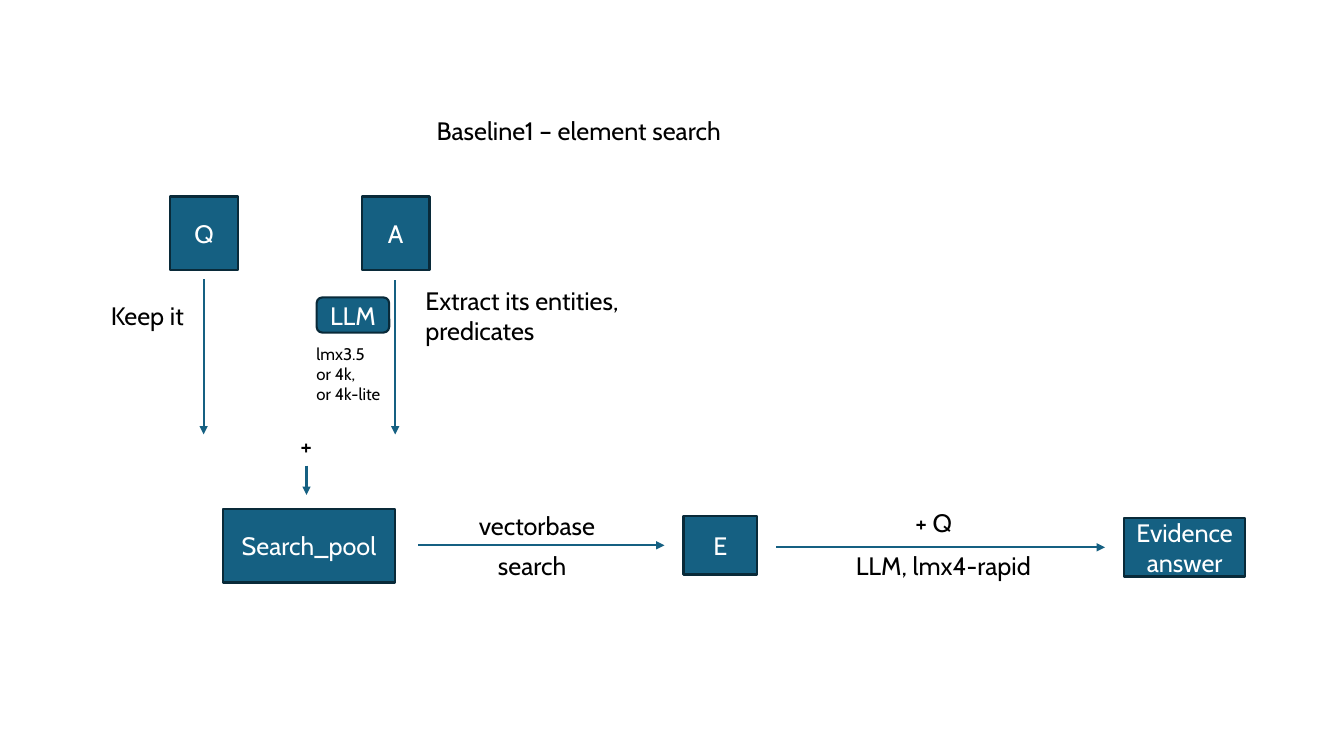
"""Build the Baseline1 element search flow slide."""
import pptx
import pptx.util
import pptx.dml.color
import pptx.enum.shapes
import pptx.enum.text
import pptx.oxml
import pptx.oxml.ns

WHITE = pptx.dml.color.RGBColor(0xFF, 0xFF, 0xFF)
BLACK = pptx.dml.color.RGBColor(0, 0, 0)
TEAL = pptx.dml.color.RGBColor(0x15, 0x60, 0x82)
NAVY = pptx.dml.color.RGBColor(0x09, 0x2A, 0x39)
KIND = pptx.enum.shapes.MSO_SHAPE
ALIGN = pptx.enum.text.PP_ALIGN
ANCHOR = pptx.enum.text.MSO_ANCHOR
FIT = pptx.enum.text.MSO_AUTO_SIZE
NS = pptx.oxml.ns.nsdecls("a")
COLS, ROWS = 133.3, 75

deck = pptx.Presentation()
deck.slide_width = pptx.util.Inches(13.33)
deck.slide_height = pptx.util.Inches(7.5)
slide = deck.slides.add_slide(deck.slide_layouts[5])


def grid(*cells):
    """Turn alternating columns and rows into slide lengths."""
    units = (deck.slide_width / COLS, deck.slide_height / ROWS)
    return [round(cell * units[i % 2]) for i, cell in enumerate(cells)]


def write(shape, text, size=18, color=BLACK, align=ALIGN.LEFT,
          anchor=ANCHOR.TOP, fit=FIT.NONE):
    """Fill a shape with formatted text."""
    frame = shape.text_frame
    frame.text = text
    frame.word_wrap = True
    frame.auto_size = fit
    frame.vertical_anchor = anchor
    for para in frame.paragraphs:
        para.alignment = align
        para.font.size = pptx.util.Pt(size)
        para.font.name = "Cabin"
        para.font.color.rgb = color


title = slide.shapes.title
title.left, title.top, title.width, title.height = grid(42.3, 10.9, 34.4, 4)
write(title, "Baseline1 – element search")

boxes = [
    ("Q", KIND.RECTANGLE, 16.9, 19.5, 6.7, 7.3),
    ("A", KIND.RECTANGLE, 35.9, 19.5, 6.7, 7.3),
    ("LLM", KIND.ROUNDED_RECTANGLE, 31.4, 29.5, 7.2, 3.5),
    ("Search_pool", KIND.RECTANGLE, 22.1, 50.5, 17.1, 7.3),
    ("E", KIND.RECTANGLE, 67.8, 51.2, 7.3, 5.8),
    ("Evidence\vanswer", KIND.RECTANGLE, 111.5, 51.4, 12, 5.8),
]
for text, kind, *cells in boxes:
    box = slide.shapes.add_shape(kind, *grid(*cells))
    box.shadow.inherit = False
    box.fill.solid()
    box.fill.fore_color.rgb = TEAL
    box.line.color.rgb = NAVY
    box.line.width = pptx.util.Pt(1.5)
    write(box, text, color=WHITE, align=ALIGN.CENTER, anchor=ANCHOR.MIDDLE)

arrows = [
    (20.2, 27.7, 20.2, 43.1),
    (39.2, 27.8, 39.2, 43.1),
    (30.4, 46.2, 30.4, 49.1),
    (41.5, 54.1, 65.9, 54.1),
    (77, 54.3, 109.6, 54.3),
]
for ends in arrows:
    arrow = slide.shapes.add_connector(
        pptx.enum.shapes.MSO_CONNECTOR.STRAIGHT, *grid(*ends))
    arrow.line.color.rgb = TEAL
    arrow.line.width = pptx.util.Pt(1.5)
    head = pptx.oxml.parse_xml(f'<a:tailEnd {NS} type="triangle"/>')
    arrow._element.spPr.get_or_add_ln().append(head)
    flat = pptx.oxml.parse_xml(f"<a:effectLst {NS}/>")
    arrow._element.spPr.append(flat)

labels = [
    ("Keep it", 18, 10, 29.3, 13.5, 4),
    ("Extract its entities, predicates", 18, 41.2, 27.8, 22.8, 7.1),
    ("lmx3.5\nor 4k,\nor 4k-lite", 12, 30.4, 33.6, 9.8, 7.1),
    ("+", 18, 28.8, 42.2, 13.5, 4),
    ("vectorbase", 18, 46.5, 50.1, 22.8, 4),
    ("search", 18, 48.4, 54.1, 22.8, 4),
    ("+ Q", 18, 89.8, 49.8, 7, 4),
    ("LLM, lmx4-rapid", 18, 83.9, 54.1, 22, 4),
]
for text, size, *cells in labels:
    label = slide.shapes.add_textbox(*grid(*cells))
    write(label, text, size=size, fit=FIT.SHAPE_TO_FIT_TEXT)

deck.save("out.pptx")
